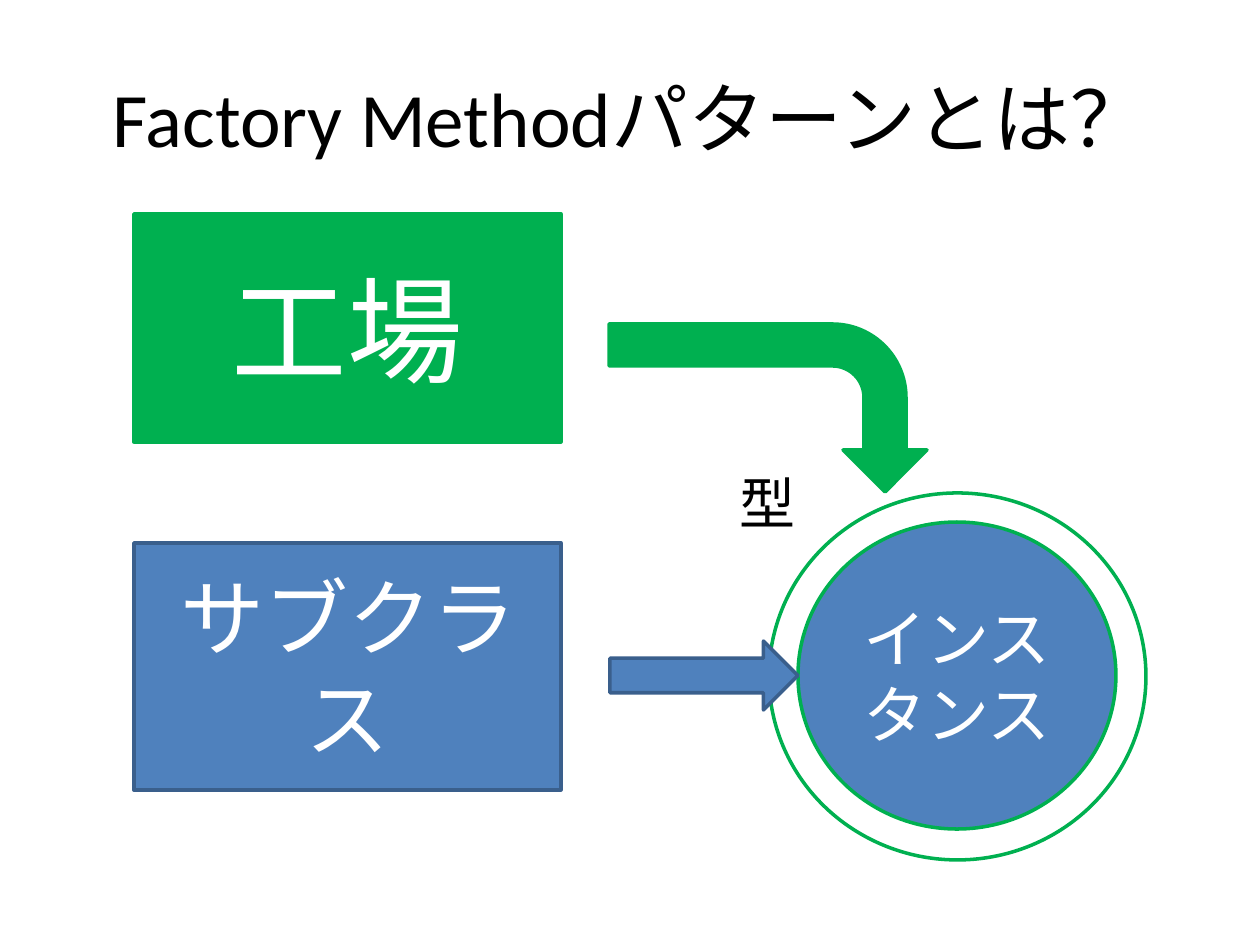
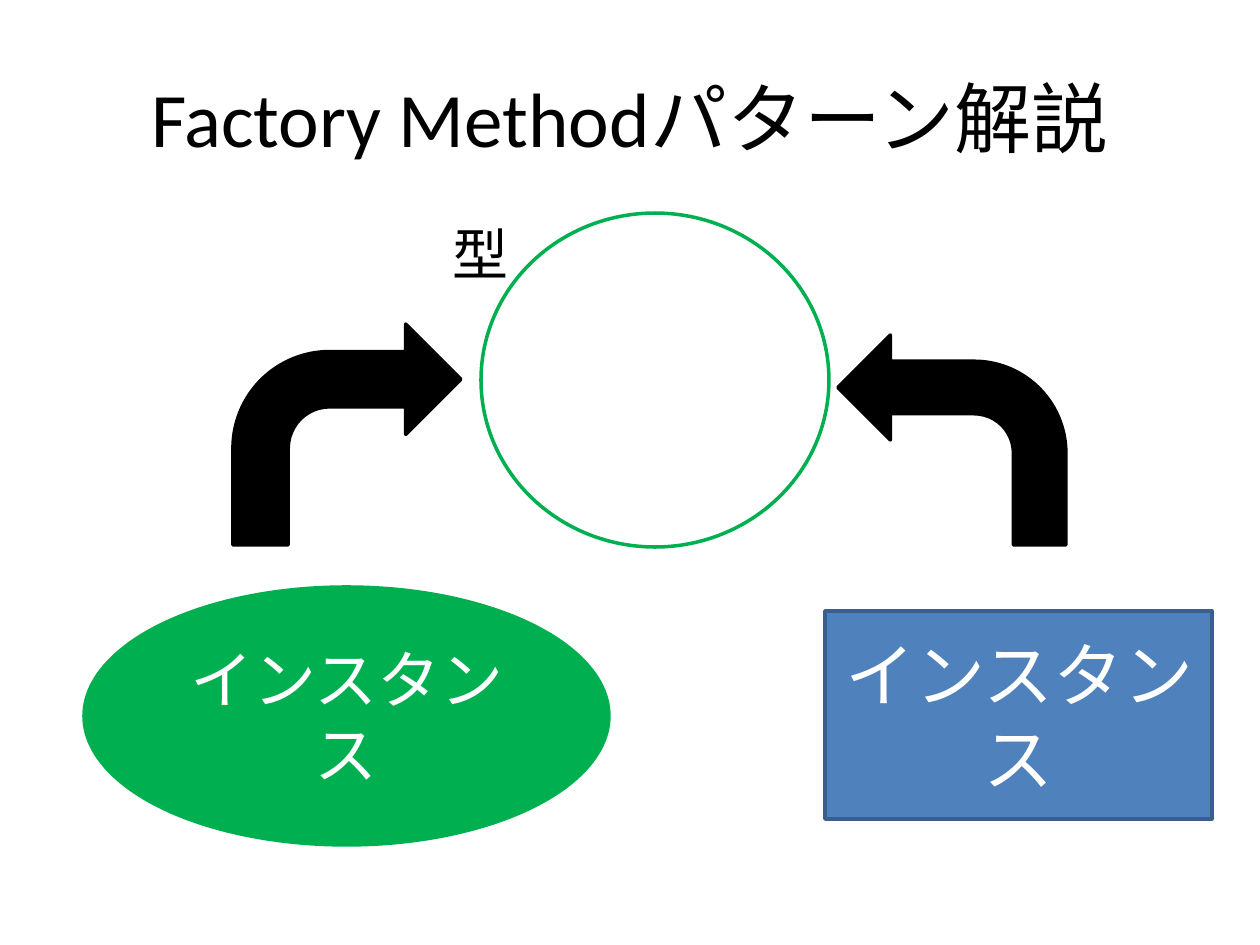
from pptx import Presentation
from pptx.dml.color import RGBColor
from pptx.enum.shapes import MSO_SHAPE
from pptx.enum.text import MSO_ANCHOR, MSO_AUTO_SIZE, PP_ALIGN
from pptx.util import Emu, Pt

RECT = MSO_SHAPE.RECTANGLE
ELLIPSE = MSO_SHAPE.OVAL
BENT_ARROW = MSO_SHAPE.BENT_ARROW
RIGHT_ARROW = MSO_SHAPE.RIGHT_ARROW
MIDDLE, TOP = MSO_ANCHOR.MIDDLE, MSO_ANCHOR.TOP
CENTER, LEFT = PP_ALIGN.CENTER, PP_ALIGN.LEFT
GROW = MSO_AUTO_SIZE.SHAPE_TO_FIT_TEXT

BLACK = RGBColor(0x00, 0x00, 0x00)
WHITE = RGBColor(0xFF, 0xFF, 0xFF)
GREEN = RGBColor(0x00, 0xB0, 0x50)
BLUE = RGBColor(0x4F, 0x81, 0xBD)
DARK_BLUE = RGBColor(0x3A, 0x5F, 0x8C)

FONT = "Calibri"
PX_PER_INCH = 126
SLIDE_W, SLIDE_H = 1260, 945


def px(n):
    return Emu(round(n * 914400 / PX_PER_INCH))


def write(sp, text, size, color=WHITE, align=CENTER, anchor=MIDDLE, wrap=True):
    tf = sp.text_frame
    tf.word_wrap = wrap
    tf.vertical_anchor = anchor
    p = tf.paragraphs[0]
    p.alignment = align
    r = p.add_run()
    r.text = text
    r.font.name = FONT
    r.font.size = Pt(size)
    r.font.color.rgb = color
    return tf


def add_box(parent, kind, x, y, w, h, fill, line, text=None, size=36):
    sp = parent.shapes.add_shape(kind, px(x), px(y), px(w), px(h))
    sp.shadow.inherit = False
    sp.fill.solid()
    sp.fill.fore_color.rgb = fill
    sp.line.color.rgb = line
    sp.line.width = Pt(2)
    if text:
        write(sp, text, size)
    return sp


def add_title(slide, text):
    sp = slide.shapes.add_textbox(px(63), px(38), px(1134), px(158))
    write(sp, text, 44, BLACK)


def add_type_label(slide, x, y):
    sp = slide.shapes.add_textbox(px(x), px(y), px(82), px(81))
    tf = write(sp, "型", 32, BLACK, LEFT, TOP, wrap=False)
    tf.auto_size = GROW


def add_typed_instance(slide, x, y):
    group = slide.shapes.add_group_shape()
    margin = 29
    add_box(group, ELLIPSE, x, y, 377, 367, WHITE, GREEN)
    add_box(group, ELLIPSE, x + margin, y + margin, 318, 307, BLUE, GREEN, "インスタンス")


def draw_factory(slide, x, y):
    add_box(slide, RECT, x, y, 427, 228, GREEN, GREEN, "工場", 66)
    add_typed_instance(slide, x + 635, y + 279)
    add_type_label(slide, x + 593, y + 248)
    arrow = add_box(slide, BENT_ARROW, x + 550, y + 35, 168, 318, GREEN, GREEN)
    arrow.rotation = 90
    add_box(slide, RECT, x, y + 329, 427, 247, BLUE, DARK_BLUE, "サブクラス", 48)
    add_box(slide, RIGHT_ARROW, x + 476, y + 427, 188, 69, BLUE, DARK_BLUE)


def draw_shared_type(slide, x, y):
    add_box(slide, ELLIPSE, x + 397, y, 348, 334, WHITE, GREEN)
    add_box(slide, ELLIPSE, x, y + 374, 525, 258, GREEN, GREEN, "インスタンス")
    add_box(slide, BENT_ARROW, x + 149, y + 111, 228, 221, BLACK, BLACK)
    add_box(slide, RECT, x + 741, y + 398, 387, 208, BLUE, DARK_BLUE, "インスタンス", 40)
    arrow = add_box(slide, BENT_ARROW, x + 754, y + 122, 228, 210, BLACK, BLACK)
    arrow.element.spPr.get_or_add_xfrm().set("flipH", "1")
    add_type_label(slide, x + 356, y)


def main():
    prs = Presentation()
    prs.slide_width, prs.slide_height = px(SLIDE_W), px(SLIDE_H)
    pages = [
        ("Factory Methodパターンとは？", draw_factory, 134, 214),
        ("Factory Methodパターン解説", draw_shared_type, 84, 213),
    ]
    for title, draw, x, y in pages:
        slide = prs.slides.add_slide(prs.slide_layouts[6])
        add_title(slide, title)
        draw(slide, x, y)
    prs.save("out.pptx")


if __name__ == "__main__":
    main()
